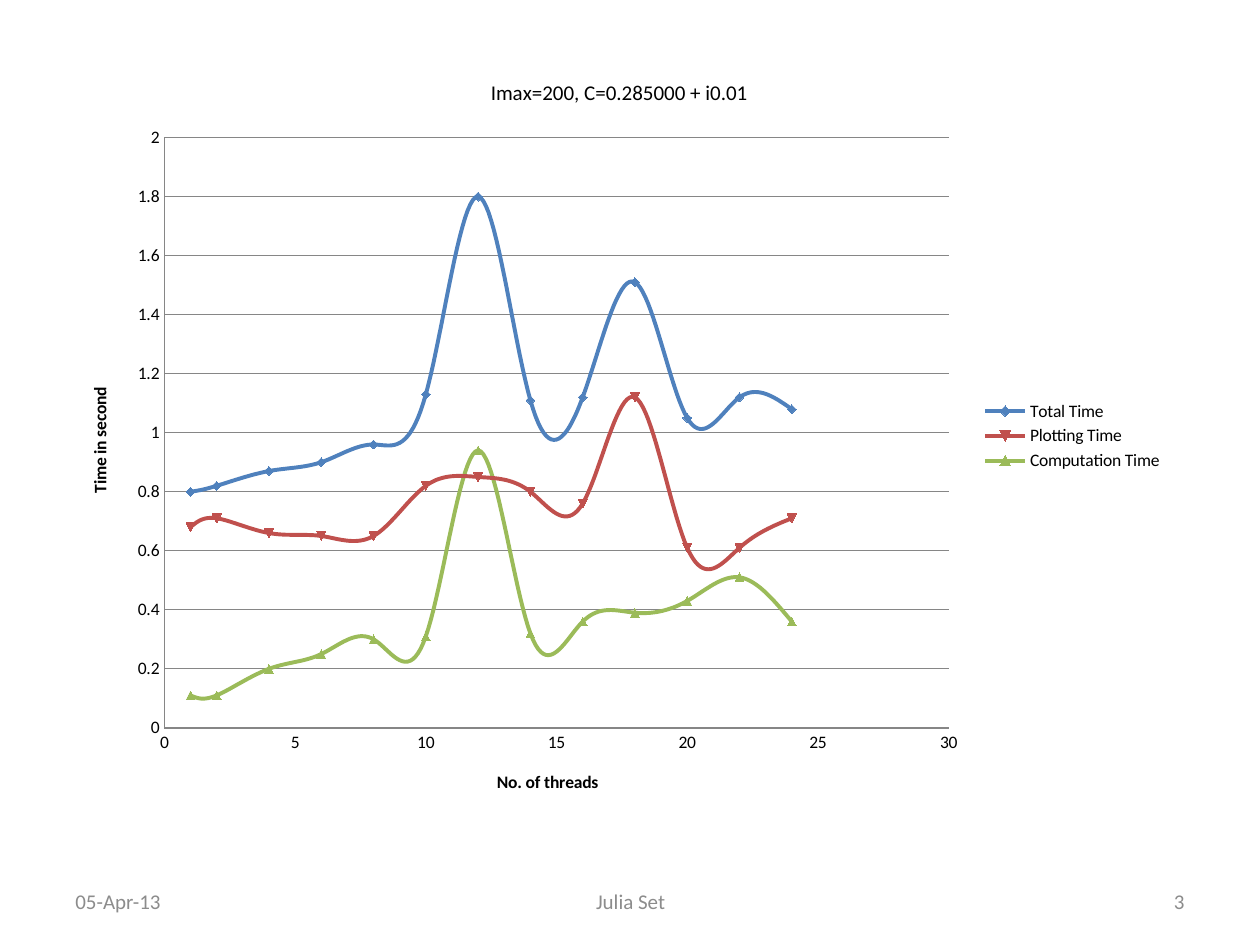
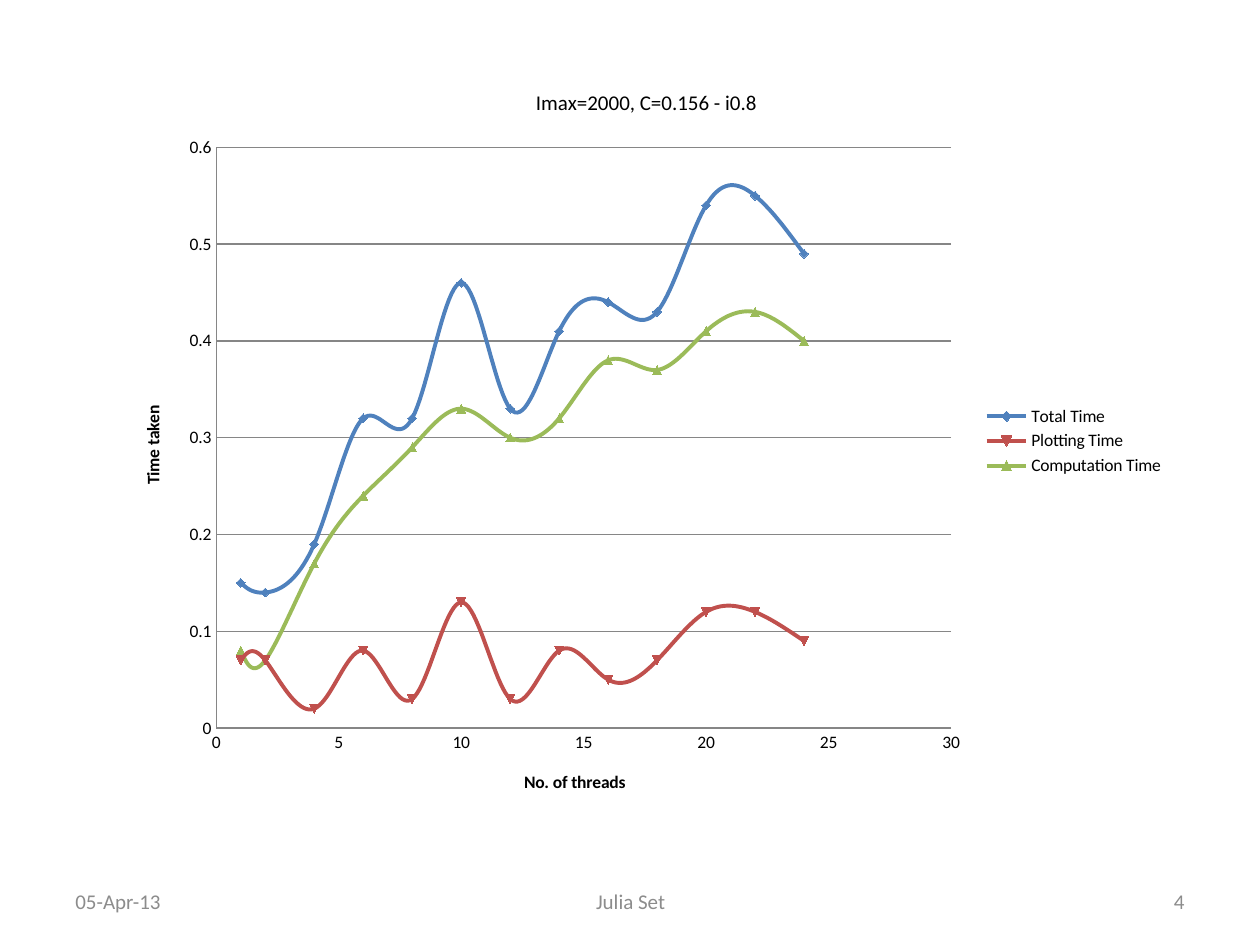
from pptx import Presentation
from pptx.chart.data import XyChartData
from pptx.dml.color import RGBColor
from pptx.enum.chart import XL_CHART_TYPE, XL_LEGEND_POSITION, XL_TICK_MARK
from pptx.enum.text import MSO_ANCHOR, PP_ALIGN
from pptx.util import Inches, Pt

FONT = "Calibri"
BLACK = RGBColor(0x00, 0x00, 0x00)
FOOTER_GREY = RGBColor(0x8C, 0x8C, 0x8C)
AXIS_GREY = RGBColor(0x86, 0x86, 0x86)
BLUE = RGBColor(0x4F, 0x81, 0xBD)
RED = RGBColor(0xC0, 0x50, 0x4D)
GREEN = RGBColor(0x9B, 0xBB, 0x59)

THREADS = [1, *range(2, 25, 2)]
TIMINGS = {"Total Time": BLUE, "Plotting Time": RED, "Computation Time": GREEN}

RUNS = [
    {
        "number": "3",
        "title": "Imax=200, C=0.285000 + i0.01",
        "time_label": "Time in second",
        "box": (0.5, 0.42, 8.83, 6.08),
        "time_max": 2,
        "time_step": 0.2,
        "times": [
            [0.8, 0.82, 0.87, 0.9, 0.96, 1.13, 1.8, 1.11, 1.12, 1.51, 1.05, 1.12, 1.08],
            [0.68, 0.71, 0.66, 0.65, 0.65, 0.82, 0.85, 0.8, 0.76, 1.12, 0.61, 0.61, 0.71],
            [0.11, 0.11, 0.2, 0.25, 0.3, 0.31, 0.94, 0.32, 0.36, 0.39, 0.43, 0.51, 0.36],
        ],
    },
    {
        "number": "4",
        "title": "Imax=2000, C=0.156 - i0.8",
        "time_label": "Time taken",
        "box": (0.92, 0.5, 8.42, 6),
        "time_max": 0.6,
        "time_step": 0.1,
        "times": [
            [0.15, 0.14, 0.19, 0.32, 0.32, 0.46, 0.33, 0.41, 0.44, 0.43, 0.54, 0.55, 0.49],
            [0.07, 0.07, 0.02, 0.08, 0.03, 0.13, 0.03, 0.08, 0.05, 0.07, 0.12, 0.12, 0.09],
            [0.08, 0.07, 0.17, 0.24, 0.29, 0.33, 0.3, 0.32, 0.38, 0.37, 0.41, 0.43, 0.4],
        ],
    },
]


def set_attributes(target, values):
    for name, value in values.items():
        setattr(target, name, value)


def style_font(font, size, color=BLACK, bold=False):
    set_attributes(font, {"name": FONT, "size": Pt(size), "bold": bold})
    font.color.rgb = color


def style_line(line, color, width):
    line.color.rgb = color
    line.width = Pt(width)


def add_footer(slide, number):
    parts = [
        ("05-Apr-13", 0.5, 2.33, PP_ALIGN.LEFT),
        ("Julia Set", 3.42, 3.17, PP_ALIGN.CENTER),
        (number, 7.17, 2.33, PP_ALIGN.RIGHT),
    ]
    for text, left, width, alignment in parts:
        box = slide.shapes.add_textbox(Inches(left), Inches(6.95), Inches(width), Inches(0.4))
        set_attributes(box.text_frame, {"word_wrap": True, "vertical_anchor": MSO_ANCHOR.MIDDLE})
        paragraph = box.text_frame.paragraphs[0]
        paragraph.alignment = alignment
        run = paragraph.add_run()
        run.text = text
        style_font(run.font, 12, FOOTER_GREY)


def set_title(owner, text, size, bold):
    """Title a chart or an axis."""
    owner.has_title = True
    run = owner.chart_title if hasattr(owner, "chart_title") else owner.axis_title
    run = run.text_frame.paragraphs[0].add_run()
    run.text = text
    style_font(run.font, size, bold=bold)


def style_axis(axis, label, maximum, step, gridlines):
    set_attributes(axis, {
        "minimum_scale": 0,
        "maximum_scale": maximum,
        "major_unit": step,
        "major_tick_mark": XL_TICK_MARK.NONE,
        "minor_tick_mark": XL_TICK_MARK.NONE,
        "has_major_gridlines": gridlines,
    })
    set_title(axis, label, 10, True)
    style_font(axis.tick_labels.font, 10)
    style_line(axis.format.line, AXIS_GREY, 0.75)
    if gridlines:
        style_line(axis.major_gridlines.format.line, AXIS_GREY, 0.75)


def add_timing_chart(slide, run):
    data = XyChartData()
    for name, times in zip(TIMINGS, run["times"]):
        series = data.add_series(name)
        for threads, seconds in zip(THREADS, times):
            series.add_data_point(threads, seconds)
    chart = slide.shapes.add_chart(
        XL_CHART_TYPE.XY_SCATTER_SMOOTH, *map(Inches, run["box"]), data).chart

    style_font(chart.font, 10)
    set_title(chart, run["title"], 12, False)
    chart.chart_title.include_text_in_layout = False
    style_axis(chart.category_axis, "No. of threads", 30, 5, False)
    style_axis(chart.value_axis, run["time_label"], run["time_max"], run["time_step"], True)

    chart.has_legend = True
    set_attributes(chart.legend, {"position": XL_LEGEND_POSITION.RIGHT, "include_in_layout": False})
    style_font(chart.legend.font, 10)

    plot = chart.plots[0]
    plot.vary_by_categories = False
    for series, color in zip(plot.series, TIMINGS.values()):
        series._element.get_or_add_smooth().val = True
        style_line(series.format.line, color, 2.25)
        marker = series.marker.format
        marker.fill.solid()
        marker.fill.fore_color.rgb = color
        style_line(marker.line, color, 0.75)


def main():
    deck = Presentation()
    set_attributes(deck, {"slide_width": Inches(10), "slide_height": Inches(7.5)})
    for run in RUNS:
        slide = deck.slides.add_slide(deck.slide_layouts[6])
        add_footer(slide, run["number"])
        add_timing_chart(slide, run)
    deck.save("out.pptx")


if __name__ == "__main__":
    main()
